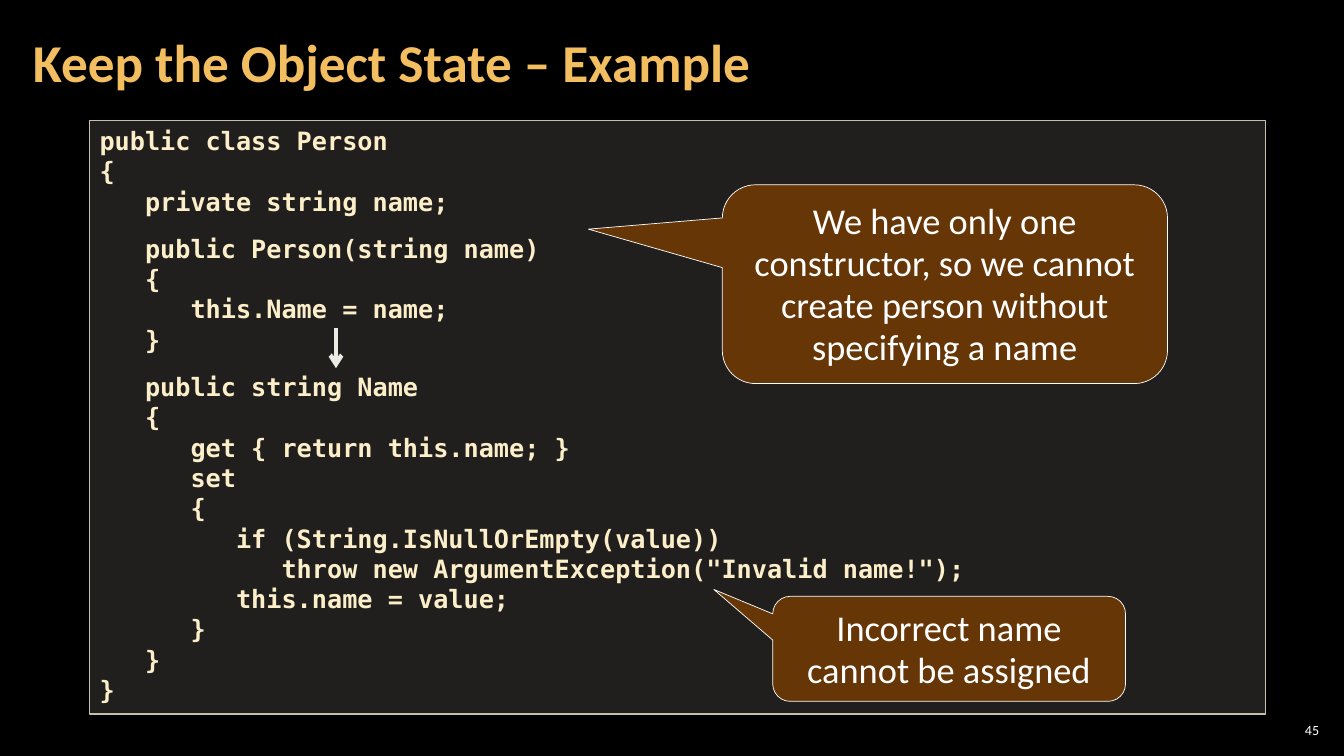
import pptx
import pptx.util
import pptx.dml.color
import pptx.enum.dml
import pptx.enum.shapes
import pptx.enum.text
import pptx.oxml
import pptx.oxml.ns
import lxml.etree

Pt = pptx.util.Pt
RGBColor = pptx.dml.color.RGBColor
ALIGN = pptx.enum.text.PP_ALIGN
ANCHOR = pptx.enum.text.MSO_ANCHOR
SHAPE = pptx.enum.shapes.MSO_SHAPE

BLACK = RGBColor(0x00, 0x00, 0x00)
WHITE = RGBColor(0xFF, 0xFF, 0xFF)
GOLD = RGBColor(0xF3, 0xBE, 0x60)
CREAM = RGBColor(0xFB, 0xEE, 0xC9)
PANEL = RGBColor(0xD9, 0xD5, 0xC7)
PANEL_EDGE = RGBColor(0xC7, 0xBF, 0xAC)
BROWN = RGBColor(0x66, 0x36, 0x06)
ARROW = RGBColor(0xEC, 0xEA, 0xE3)

CODE = """public class Person
{
   private string name;
   public Person(string name)
   {
      this.Name = name;
   }
   public string Name
   {
      get { return this.name; }
      set
      {
         if (String.IsNullOrEmpty(value))
            throw new ArgumentException("Invalid name!");
         this.name = value;
      }
   }
}"""


def write(shape, lines, frame_format, paragraph_format, font_format, color):
    frame = shape.text_frame
    frame.text = "\n".join(lines)
    frame.word_wrap = True
    for key, value in frame_format.items():
        setattr(frame, key, value)
    for paragraph in frame.paragraphs:
        for key, value in paragraph_format.items():
            setattr(paragraph, key, value)
        for run in paragraph.runs:
            for key, value in font_format.items():
                setattr(run.font, key, value)
            run.font.color.rgb = color


def paint(shape, fill, edge, width):
    shape.shadow.inherit = False
    shape.fill.solid()
    shape.fill.fore_color.rgb = fill
    shape.line.color.rgb = edge
    shape.line.width = Pt(width)


deck = pptx.Presentation()
deck.slide_width, deck.slide_height = Pt(960), Pt(540)
slide = deck.slides.add_slide(deck.slide_layouts[5])
slide.background.fill.solid()
slide.background.fill.fore_color.rgb = BLACK

title = slide.shapes.title
title.left, title.top, title.width, title.height = Pt(15), Pt(3), Pt(754), Pt(87)
write(title, ["Keep the Object State – Example"],
      {"vertical_anchor": ANCHOR.MIDDLE, "margin_left": Pt(8.5), "margin_right": Pt(8.5),
       "margin_top": Pt(2.8), "margin_bottom": Pt(2.8),
       "auto_size": pptx.enum.text.MSO_AUTO_SIZE.NONE},
      {"alignment": ALIGN.LEFT, "line_spacing": 0.9},
      {"name": "Calibri", "size": Pt(38), "bold": True}, GOLD)

page_number = slide.shapes.add_textbox(Pt(911), Pt(514), Pt(34), Pt(15))
write(page_number, ["45"],
      {"vertical_anchor": ANCHOR.MIDDLE, "margin_left": Pt(2.8), "margin_right": Pt(2.8),
       "margin_top": Pt(2.8), "margin_bottom": Pt(2.8)},
      {"alignment": ALIGN.RIGHT}, {"name": "Calibri", "size": Pt(10)}, WHITE)

listing = slide.shapes.add_shape(SHAPE.RECTANGLE, Pt(64), Pt(86), Pt(840), Pt(424))
paint(listing, PANEL, PANEL_EDGE, 1)
panel_color = listing.fill._xPr.find(".//" + pptx.oxml.ns.qn("a:srgbClr"))
lxml.etree.SubElement(panel_color, pptx.oxml.ns.qn("a:alpha"), val="15000")
write(listing, CODE.split("\n"), {"vertical_anchor": ANCHOR.TOP},
      {"alignment": ALIGN.LEFT, "line_spacing": Pt(21.65)},
      {"name": "DejaVu Sans Mono", "size": Pt(18), "bold": True}, CREAM)
for paragraph in listing.text_frame.paragraphs:
    if paragraph.text.startswith("   public"):
        paragraph.space_before = Pt(12)

assignment_flow = slide.shapes.add_connector(
    pptx.enum.shapes.MSO_CONNECTOR.STRAIGHT, Pt(240), Pt(234), Pt(240), Pt(263))
assignment_flow.line.color.rgb = ARROW
assignment_flow.line.width = Pt(3)
lxml.etree.SubElement(assignment_flow.line._get_or_add_ln(),
                      pptx.oxml.ns.qn("a:tailEnd"), type="arrow")
lxml.etree.SubElement(assignment_flow._element.spPr, pptx.oxml.ns.qn("a:effectLst"))

remarks = [
    ("We have only one constructor, so we cannot create person without specifying a name",
     (516, 132, 318, 142), (-0.801, -0.277, 0.167)),
    ("Incorrect name cannot be assigned",
     (552, 426, 252, 75), (-0.667, -0.566, 0.167)),
]
for remark, place, pointer in remarks:
    callout = slide.shapes.add_shape(SHAPE.ROUNDED_RECTANGULAR_CALLOUT, *map(Pt, place))
    for index, value in enumerate(pointer):
        callout.adjustments[index] = value
    paint(callout, BROWN, WHITE, 0.5)
    write(callout, [remark], {"vertical_anchor": ANCHOR.MIDDLE},
          {"alignment": ALIGN.CENTER, "line_spacing": Pt(30)},
          {"name": "Calibri", "size": Pt(26)}, WHITE)

deck.save("out.pptx")
